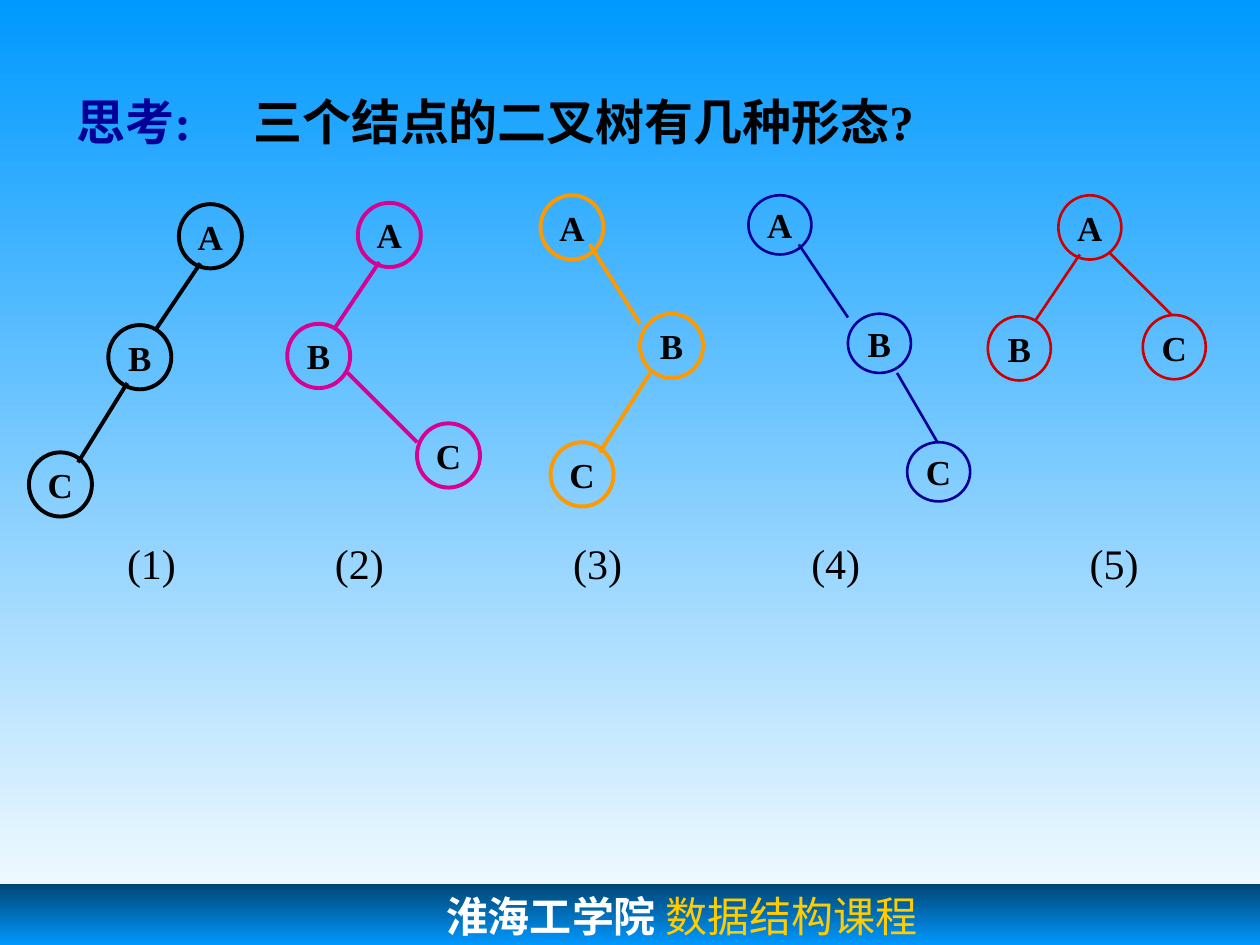
import copy

import pptx
import pptx.dml.color
import pptx.enum.shapes
import pptx.enum.text
import pptx.oxml
import pptx.oxml.ns
import pptx.util

Inches = pptx.util.Inches
Pt = pptx.util.Pt
RGBColor = pptx.dml.color.RGBColor
ANCHOR = pptx.enum.text.MSO_ANCHOR
ALIGN = pptx.enum.text.PP_ALIGN
SHAPE = pptx.enum.shapes.MSO_SHAPE
qn = pptx.oxml.ns.qn

BLACK = RGBColor(0x00, 0x00, 0x00)
WHITE = RGBColor(0xFF, 0xFF, 0xFF)
SKY = RGBColor(0x00, 0x99, 0xFF)
DEEP = RGBColor(0x00, 0x46, 0x75)
NAVY = RGBColor(0x00, 0x00, 0x99)
GOLD = RGBColor(0xFF, 0xCC, 0x00)
RED = RGBColor(0xCC, 0x00, 0x00)
MAGENTA = RGBColor(0xD6, 0x00, 0x93)
ORANGE = RGBColor(0xFF, 0x99, 0x00)

SERIF = "Times New Roman"
MONO = "DejaVu Sans Mono"
NODE_WIDTH = 0.5

# Branch: parent, child, then child position, line start and line end from the parent's corner.
LEFT_BRANCH = ("A", "B", (-0.56, 0.96), (0.17, 0.47), (-0.18, 0.99))
TREES = [
    ((1.42, 1.62), BLACK, 2.25, 0.51, 0.91,
     [LEFT_BRANCH, ("B", "C", (-0.63, 1.01), (0.15, 0.46), (-0.24, 1.09))]),
    ((2.84, 1.61), MAGENTA, 2.25, 0.51, 2.56,
     [LEFT_BRANCH, ("B", "C", (1.03, 0.79), (0.48, 0.39), (1.03, 0.94))]),
    ((4.29, 1.55), ORANGE, 2.25, 0.51, 4.45,
     [("A", "B", (0.79, 0.94), (0.39, 0.39), (0.79, 1.02)),
      ("B", "C", (-0.71, 1.02), (0.08, 0.47), (-0.32, 1.1))]),
    ((5.94, 1.55), NAVY, 1.5, 0.47, 6.34,
     [("A", "B", (0.79, 0.94), (0.4, 0.39), (0.79, 0.97)),
      ("B", "C", (0.47, 1.02), (0.39, 0.47), (0.71, 1.02))]),
    ((8.4, 1.55), RED, 1.5, 0.51, 8.55,
     [LEFT_BRANCH, ("A", "C", (0.67, 0.95), (0.4, 0.45), (0.9, 0.95))]),
]


def add_run(p, text, size, color, bold=False, font=SERIF):
    r = p.add_run()
    r.text = text
    r.font.name = font
    r.font.size = Pt(size)
    r.font.bold = bold
    r.font.color.rgb = color


def set_gradient(fill, colors):
    fill.gradient_angle = 270
    for i, (stop, color) in enumerate(zip(fill.gradient_stops, colors)):
        stop.position = i / (len(colors) - 1)
        stop.color.rgb = color


def add_background(s):
    fill = s.background.fill
    fill.gradient()
    set_gradient(fill, [SKY, WHITE])


def add_footer(s, left, top, width, height):
    sp = s.shapes.add_shape(SHAPE.RECTANGLE, Inches(left), Inches(top), Inches(width), Inches(height))
    sp.shadow.inherit = False
    sp.line.fill.background()
    sp.fill.gradient()
    stops = sp._element.spPr.find(".//" + qn("a:gsLst"))
    stops.append(copy.deepcopy(stops[0]))
    set_gradient(sp.fill, [DEEP, SKY, DEEP])
    tf = sp.text_frame
    tf.vertical_anchor = ANCHOR.TOP
    tf.margin_left = Inches(3.54)
    p = tf.paragraphs[0]
    p.alignment = ALIGN.LEFT
    add_run(p, "淮海工学院", 24, WHITE, True, MONO)
    add_run(p, " 数据结构课程", 24, GOLD)


def add_title(s, left, top, width, height):
    sp = s.shapes.title
    sp.left, sp.top, sp.width, sp.height = map(Inches, (left, top, width, height))
    tf = sp.text_frame
    tf.word_wrap = True
    tf.auto_size = pptx.enum.text.MSO_AUTO_SIZE.NONE
    tf.vertical_anchor = ANCHOR.TOP
    p = tf.paragraphs[0]
    p.alignment = ALIGN.LEFT
    tabs = pptx.oxml.parse_xml(
        f'<a:tabLst {pptx.oxml.ns.nsdecls("a")}><a:tab pos="{Inches(1.4)}" algn="l"/></a:tabLst>')
    p._p.get_or_add_pPr().append(tabs)
    add_run(p, "思考:\t", 28, NAVY, True)
    add_run(p, "三个结点的二叉树有几种形态?", 28, BLACK, True)


def add_node(group, name, left, top, height, color, weight):
    sp = group.shapes.add_shape(
        SHAPE.OVAL, Inches(left), Inches(top), Inches(NODE_WIDTH), Inches(height))
    sp.shadow.inherit = False
    sp.fill.background()
    sp.line.color.rgb = color
    sp.line.width = Pt(weight)
    tf = sp.text_frame
    tf.word_wrap = False
    tf.vertical_anchor = ANCHOR.MIDDLE
    p = tf.paragraphs[0]
    p.alignment = ALIGN.CENTER
    add_run(p, name, 20, BLACK, True)


def add_edge(group, start, end, color, weight):
    line = group.shapes.add_connector(
        pptx.enum.shapes.MSO_CONNECTOR.STRAIGHT, *map(Inches, start + end))
    line.line.color.rgb = color
    line.line.width = Pt(weight)
    line._element.spPr.append(
        pptx.oxml.parse_xml(f'<a:effectLst {pptx.oxml.ns.nsdecls("a")}/>'))


def shift(origin, offset):
    return origin[0] + offset[0], origin[1] + offset[1]


def add_tree(s, root, color, weight, node_height, branches):
    group = s.shapes.add_group_shape()
    corners = {"A": root}
    for parent, child, offset, _, _ in branches:
        corners[child] = shift(corners[parent], offset)
    for name, (left, top) in corners.items():
        add_node(group, name, left, top, node_height, color, weight)
    for parent, _, _, start, end in branches:
        corner = corners[parent]
        add_edge(group, shift(corner, start), shift(corner, end), color, weight)


def add_caption(s, text, left, top, width, height):
    sp = s.shapes.add_textbox(Inches(left), Inches(top), Inches(width), Inches(height))
    tf = sp.text_frame
    tf.word_wrap = False
    add_run(tf.paragraphs[0], text, 24, BLACK)


def main():
    prs = pptx.Presentation()
    prs.slide_width = Inches(10)
    prs.slide_height = Inches(7.5)
    s = prs.slides.add_slide(prs.slide_layouts[5])
    add_background(s)
    add_footer(s, 0, 7.02, 10, 0.97)
    add_title(s, 0.51, 0.68, 6.72, 0.57)
    for number, (root, color, weight, node_height, caption_left, branches) in enumerate(TREES, 1):
        add_tree(s, root, color, weight, node_height, branches)
        add_caption(s, f"({number})", caption_left, 4.22, 0.59, 0.5)
    prs.save("out.pptx")


if __name__ == "__main__":
    main()
